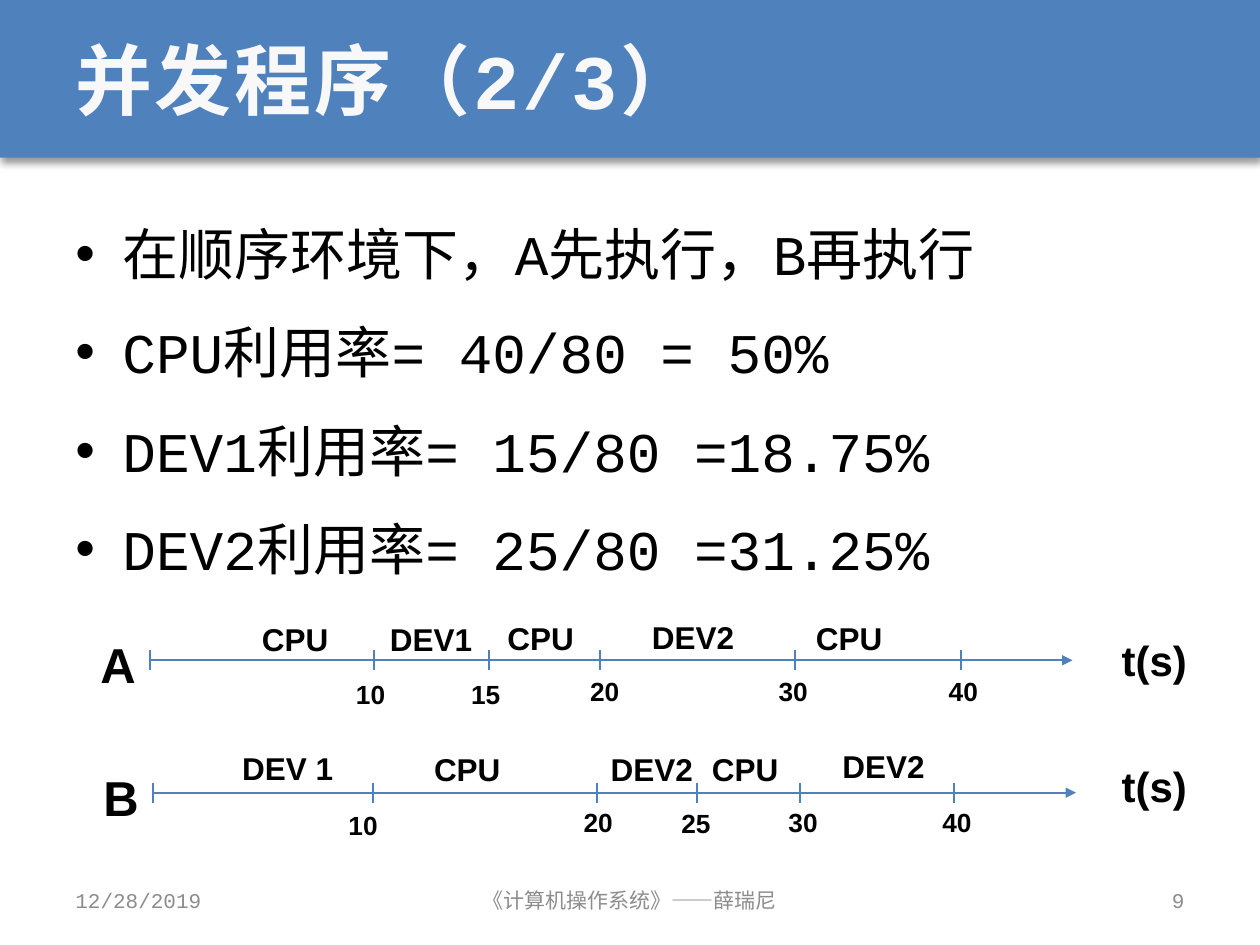
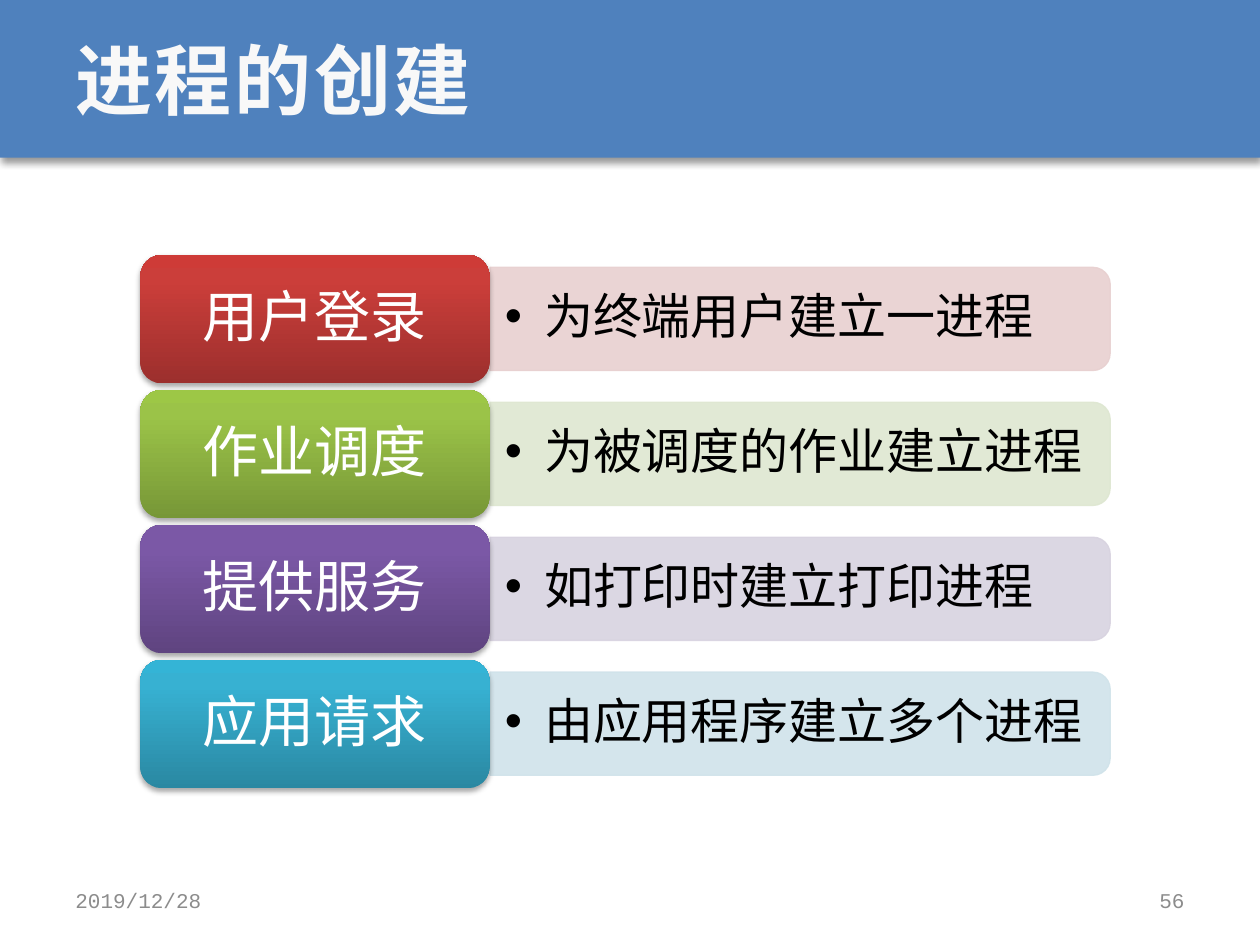
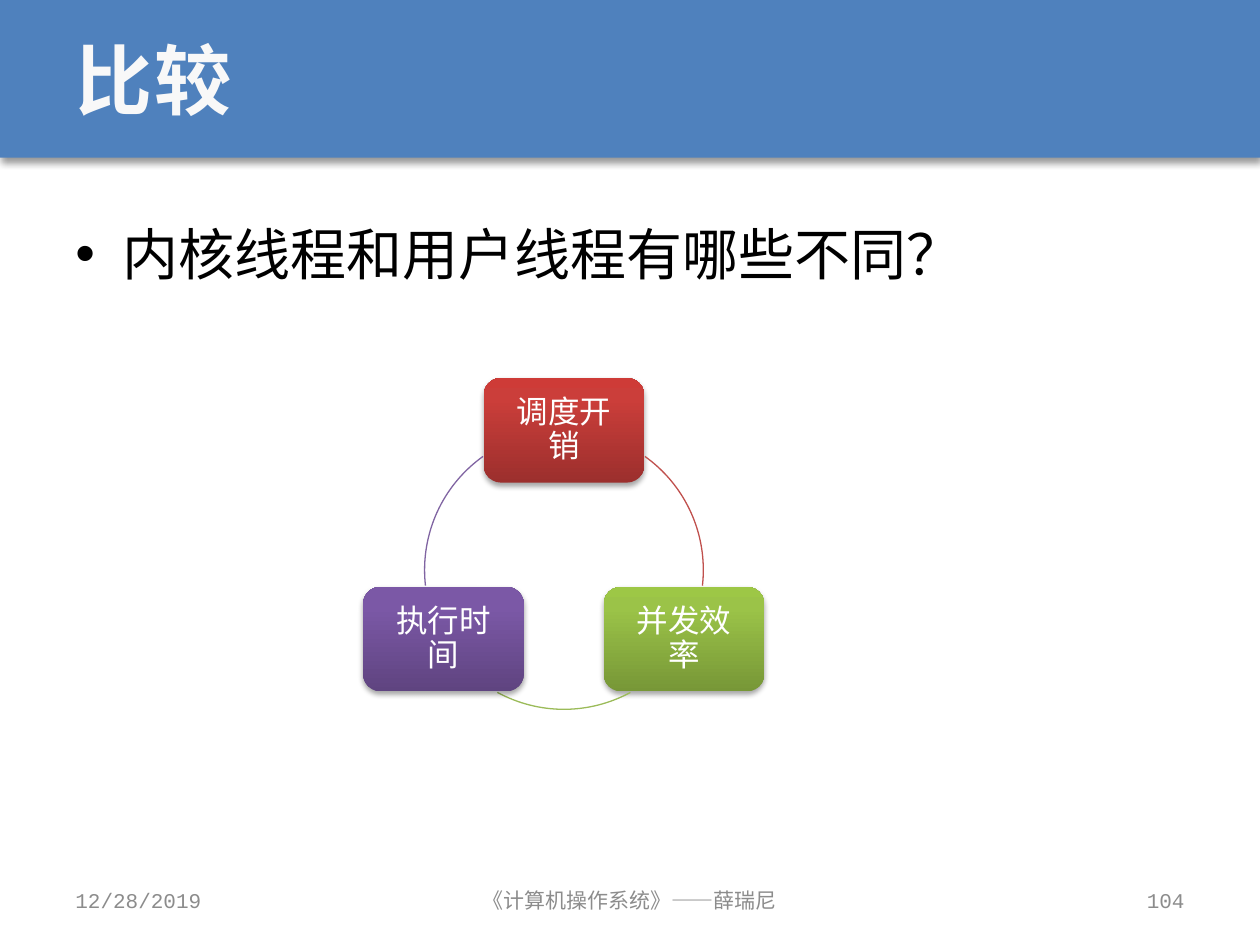
from dataclasses import dataclass

from lxml import etree
from pptx import Presentation
from pptx.dml.color import RGBColor
from pptx.enum.shapes import MSO_CONNECTOR, MSO_SHAPE
from pptx.enum.text import MSO_ANCHOR, PP_ALIGN
from pptx.oxml.ns import qn
from pptx.util import Cm, Pt

LEFT, CENTER, RIGHT = PP_ALIGN.LEFT, PP_ALIGN.CENTER, PP_ALIGN.RIGHT
TOP, MIDDLE = MSO_ANCHOR.TOP, MSO_ANCHOR.MIDDLE
STRAIGHT = MSO_CONNECTOR.STRAIGHT
RECT, ROUNDED = MSO_SHAPE.RECTANGLE, MSO_SHAPE.ROUNDED_RECTANGLE
ROUND_TOP, ARC = MSO_SHAPE.ROUND_2_SAME_RECTANGLE, MSO_SHAPE.ARC


@dataclass(frozen=True)
class Hue:
    dark: str
    mid: str
    bright: str
    line: str
    pale: str


@dataclass(frozen=True)
class Theme:
    mono: str = "Courier New"
    sans: str = "Arial"
    cjk: str = "Noto Sans CJK SC"
    accent: str = "4F81BD"
    title: str = "F8F8F8"
    text: str = "000000"
    light: str = "FFFFFF"
    muted: str = "8C8C8C"
    title_size: float = 44
    body_size: float = 32
    body_line: float = 56.3
    detail_size: float = 28
    name_size: float = 28
    unit_size: float = 24
    label_size: float = 18
    tick_size: float = 15
    footer_size: float = 12
    red: Hue = Hue("9C2F2D", "CB3E3A", "CE3B37", "C0504D", "E8D0D0")
    green: Hue = Hue("779737", "9BC348", "9DC746", "9BBB59", "DEE7D1")
    purple: Hue = Hue("5F4480", "7B58A6", "7C57A8", "8064A2", "D8D3E0")
    teal: Hue = Hue("2A88A2", "37B1D2", "34B4D6", "4BACC6", "D0E3EA")


T = Theme()
BOOK = "《计算机操作系统》——薛瑞尼"


# XML helpers
def sub(parent, tag, **attrs):
    return etree.SubElement(parent, qn(tag), {k: str(v) for k, v in attrs.items()})


def add_shadow(sp, alpha, blur, dist):
    effects = sp._element.spPr.find(qn("a:effectLst"))
    shadow = sub(effects, "a:outerShdw", blurRad=Pt(blur), dist=Pt(dist),
                 dir=5400000, algn="t", rotWithShape=0)
    color = sub(shadow, "a:srgbClr", val="000000")
    sub(color, "a:alpha", val=alpha * 1000)


def set_gradient(sp, hue):
    sp.fill.gradient()
    grad = sp._element.spPr.find(qn("a:gradFill"))
    for child in list(grad):
        grad.remove(child)
    stops = sub(grad, "a:gsLst")
    for pos, color in ((0, hue.dark), (80, hue.mid), (100, hue.bright)):
        sub(sub(stops, "a:gs", pos=pos * 1000), "a:srgbClr", val=color)
    sub(grad, "a:lin", ang=16200000, scaled=0)


def add_bullet(p, indent):
    pPr = p._p.get_or_add_pPr()
    pPr.set("marL", str(Cm(indent)))
    pPr.set("indent", str(-Cm(indent)))
    sub(pPr, "a:buFont", typeface=T.sans)
    sub(pPr, "a:buChar", char="•")


# Text
def write(sp, lines, size, color=T.text, font=T.mono, bold=False, align=LEFT,
          anchor=TOP, insets=(0.25, 0.13), wrap=True, line_spacing=None,
          indent=None, tracking=None):
    tf = sp.text_frame
    tf.word_wrap = wrap
    tf.vertical_anchor = anchor
    tf.margin_left = tf.margin_right = Cm(insets[0])
    tf.margin_top = tf.margin_bottom = Cm(insets[1])
    for i, line in enumerate(lines):
        p = tf.paragraphs[0] if i == 0 else tf.add_paragraph()
        if indent:
            add_bullet(p, indent)
        p.alignment = align
        if line_spacing:
            p.line_spacing = line_spacing
        r = p.add_run()
        r.text = line
        r.font.size, r.font.bold, r.font.name = Pt(size), bold, font
        r.font.color.rgb = RGBColor.from_string(color)
        rPr = r._r.get_or_add_rPr()
        sub(rPr, "a:ea", typeface=T.cjk)
        if tracking:
            rPr.set("spc", str(int(tracking * 100)))


def add_text(s, box, *lines, **fmt):
    write(s.shapes.add_textbox(*map(Cm, box)), lines, **fmt)


def add_label(s, center, top, text, size):
    add_text(s, (center - 1, top, 2, 0.8), text, size=size, font=T.sans,
             bold=True, align=CENTER, insets=(0, 0), wrap=False)


# Shapes and lines
def add_shape(s, kind, box, fill=None, line=None, width=0.75):
    sp = s.shapes.add_shape(kind, *map(Cm, box))
    sp.shadow.inherit = False
    if fill:
        sp.fill.solid()
        sp.fill.fore_color.rgb = RGBColor.from_string(fill)
    else:
        sp.fill.background()
    if line:
        sp.line.color.rgb = RGBColor.from_string(line)
        sp.line.width = Pt(width)
    else:
        sp.line.fill.background()
    return sp


def add_line(s, x1, y1, x2, y2, arrow=False):
    c = s.shapes.add_connector(STRAIGHT, Cm(x1), Cm(y1), Cm(x2), Cm(y2))
    c.line.color.rgb = RGBColor.from_string(T.accent)
    c.line.width = Pt(1.13)
    if arrow:
        sub(c.line._get_or_add_ln(), "a:tailEnd", type="triangle")
    sub(c._element.spPr, "a:effectLst")


def add_button(s, box, text, hue, size):
    sp = add_shape(s, ROUNDED, box)
    set_gradient(sp, hue)
    add_shadow(sp, 35, 3.1, 1.8)
    write(sp, [text], size=size, color=T.light, font=T.cjk, align=CENTER,
          anchor=MIDDLE, line_spacing=0.9)


def add_detail_bar(s, left, top, width, height, text, hue):
    # The bar is drawn upright, then turned so its round end faces right
    bar = add_shape(s, ROUND_TOP, (left + (width - height) / 2,
                                   top + (height - width) / 2, height, width),
                    hue.pale, hue.pale)
    bar.rotation = 90
    for color in bar._element.spPr.iter(qn("a:srgbClr")):
        sub(color, "a:alpha", val=90000)
    add_text(s, (left, top, width, height), text, size=T.detail_size, font=T.cjk,
             anchor=MIDDLE, insets=(0.3, 0.15), line_spacing=0.9, indent=0.79)


def add_arc(s, center_x, center_y, radius, start, end, color):
    sp = add_shape(s, ARC, (center_x - radius, center_y - radius,
                            2 * radius, 2 * radius), line=color)
    # Angles are stored in 1/60000 degree, adjustments in 1/100000
    for i, angle in enumerate((start, end)):
        sp.adjustments[i] = angle * 0.6


def add_timeline(s, name, name_at, unit_top, start, end, y, ticks, segments):
    add_label(s, *name_at, name, T.name_size)
    add_label(s, 23.27, unit_top, "t(s)", T.unit_size)
    add_line(s, start, y, end, y, arrow=True)
    for x in [start] + [tick[0] for tick in ticks]:
        add_line(s, x, y - 0.2, x, y + 0.2)
    for _, center, drop, text in ticks:
        add_label(s, center, y + drop, text, T.tick_size)
    for center, rise, text in segments:
        add_label(s, center, y - rise, text, T.label_size)


# Shared slide frame
def add_slide(prs, title, date, number, footer=None):
    s = prs.slides.add_slide(prs.slide_layouts[6])
    band = add_shape(s, RECT, (0, 0, 25.4, 3.18), T.accent)
    add_shadow(band, 40, 4, 3)
    add_text(s, (1.27, 0, 22.86, 3.18), title, size=T.title_size, color=T.title,
             bold=True, anchor=MIDDLE, tracking=1.5)
    for left, width, text, align in ((1.27, 5.93, date, LEFT),
                                     (8.68, 8.04, footer, CENTER),
                                     (18.2, 5.93, number, RIGHT)):
        if text:
            add_text(s, (left, 17.65, width, 1.01), text, size=T.footer_size,
                     color=T.muted, align=align, anchor=MIDDLE)
    return s


def add_body(s, *lines):
    add_text(s, (1.27, 3.66, 22.86, 13.54), *lines, size=T.body_size,
             line_spacing=Pt(T.body_line), indent=0.95)


# Slides
def concurrency_slide(prs):
    s = add_slide(prs, "并发程序（2/3）", "12/28/2019", "9", BOOK)
    add_body(s, "在顺序环境下，A先执行，B再执行", "CPU利用率= 40/80 = 50%",
             "DEV1利用率= 15/80 =18.75%", "DEV2利用率= 25/80 =31.25%")
    # Ticks: x, label centre, label drop, text; segments: centre, rise, text
    add_timeline(
        s, "A", (2.38, 12.8), 12.8, 3.02, 21.62, 13.31,
        [(7.54, 7.47, 0.36, "10"), (9.86, 9.79, 0.36, "15"),
         (12.1, 12.19, 0.3, "20"), (16.03, 15.99, 0.3, "30"),
         (19.38, 19.42, 0.3, "40")],
        [(5.95, 0.81, "CPU"), (8.69, 0.81, "DEV1"), (10.9, 0.84, "CPU"),
         (13.97, 0.86, "DEV2"), (17.12, 0.84, "CPU")])
    add_timeline(
        s, "B", (2.44, 15.47), 15.34, 3.08, 21.69, 15.98,
        [(7.52, 7.32, 0.33, "10"), (12.04, 12.06, 0.28, "20"),
         (14.05, 14.03, 0.3, "25"), (16.13, 16.19, 0.28, "30"),
         (19.23, 19.29, 0.28, "40")],
        [(5.8, 0.89, "DEV 1"), (9.42, 0.87, "CPU"), (13.14, 0.87, "DEV2"),
         (15.02, 0.87, "CPU"), (17.81, 0.92, "DEV2")])


def creation_slide(prs):
    s = add_slide(prs, "进程的创建", "2019/12/28", "56")
    causes = (("用户登录", "为终端用户建立一进程", T.red),
              ("作业调度", "为被调度的作业建立进程", T.green),
              ("提供服务", "如打印时建立打印进程", T.purple),
              ("应用请求", "由应用程序建立多个进程", T.teal))
    for i, (cause, detail, hue) in enumerate(causes):
        top = 5.14 + 2.72 * i
        add_detail_bar(s, 9.88, top + 0.25, 12.5, 2.08, detail, hue)
        add_button(s, (2.83, top, 7.04, 2.59), cause, hue, T.body_size)


def comparison_slide(prs):
    s = add_slide(prs, "比较", "12/28/2019", "104", BOOK)
    add_body(s, "内核线程和用户线程有哪些不同？")
    aspects = (("调度开销", 9.75, 7.62, T.red, 305.5, 6.5),
               ("并发效率", 12.17, 11.83, T.green, 61.5, 118.5),
               ("执行时间", 7.32, 11.83, T.purple, 173.5, 234.5))
    for text, left, top, hue, start, end in aspects:
        add_button(s, (left, top, 3.24, 2.11), text, hue, T.label_size)
        add_arc(s, 11.37, 11.49, 2.81, start, end, hue.line)


def main():
    prs = Presentation()
    prs.slide_width, prs.slide_height = Cm(25.4), Cm(19.05)
    concurrency_slide(prs)
    creation_slide(prs)
    comparison_slide(prs)
    prs.save("out.pptx")


if __name__ == "__main__":
    main()
